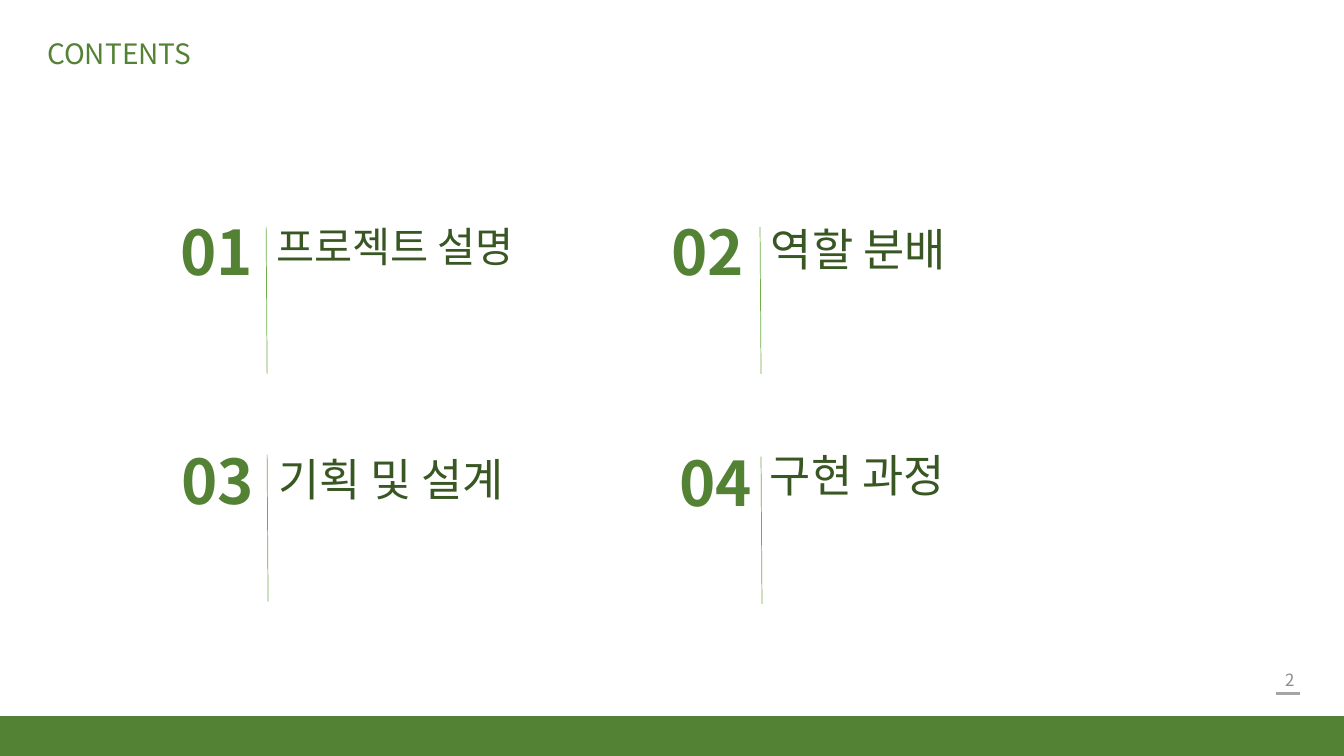
"""Build a contents slide with four numbered sections."""
from dataclasses import dataclass

from lxml import etree
from pptx import Presentation
from pptx.dml.color import RGBColor
from pptx.enum.shapes import MSO_CONNECTOR, MSO_SHAPE
from pptx.enum.text import MSO_ANCHOR, PP_ALIGN
from pptx.oxml.ns import qn
from pptx.util import Pt

STRAIGHT = MSO_CONNECTOR.STRAIGHT
RECT = MSO_SHAPE.RECTANGLE
TOP, MIDDLE = MSO_ANCHOR.TOP, MSO_ANCHOR.MIDDLE
LEFT, RIGHT = PP_ALIGN.LEFT, PP_ALIGN.RIGHT


@dataclass(frozen=True)
class Theme:
    font: str = "Noto Sans CJK KR"
    green: str = "548235"
    dark_green: str = "385723"
    light_green: str = "70AD47"
    page_grey: str = "8C8C8C"
    line_grey: str = "A5A5A5"
    page_size: float = 12
    heading_size: float = 20
    number_size: float = 44
    label_size: float = 32
    small_label_size: float = 29.6


theme = Theme()


def add_text(box, text, size, color, bold=False, anchor=MIDDLE, align=LEFT,
             spacing=0.9, before=0):
    tf = slide.shapes.add_textbox(*map(Pt, box)).text_frame
    tf.word_wrap = True
    tf.vertical_anchor = anchor
    p = tf.paragraphs[0]
    p.alignment = align
    p.line_spacing = spacing
    p.space_before = Pt(before)
    r = p.add_run()
    r.text = text
    r.font.name = theme.font
    r.font.size = Pt(size)
    r.font.bold = bold
    r.font.color.rgb = RGBColor.from_string(color)
    etree.SubElement(r.font._element, qn("a:ea"), typeface=theme.font)


def add_line(x1, y1, x2, y2, color, width):
    line = slide.shapes.add_connector(STRAIGHT, Pt(x1), Pt(y1), Pt(x2), Pt(y2))
    line.line.color.rgb = RGBColor.from_string(color)
    line.line.width = Pt(width)
    etree.SubElement(line._element.spPr, qn("a:effectLst"))


prs = Presentation()
prs.slide_width, prs.slide_height = Pt(960), Pt(540)
slide = prs.slides.add_slide(prs.slide_layouts[6])

footer = slide.shapes.add_shape(RECT, Pt(0), Pt(511.6), Pt(960), Pt(28.4))
footer.shadow.inherit = False
footer.fill.solid()
footer.fill.fore_color.rgb = RGBColor.from_string(theme.green)
footer.line.fill.background()

add_text((715.7, 470.9, 216, 28.8), "2", theme.page_size, theme.page_grey,
         align=RIGHT, spacing=1)
add_line(911.5, 495.4, 928.5, 495.4, theme.line_grey, 1.5)
add_text((26.6, 25.2, 277.2, 28.8), "CONTENTS", theme.heading_size, theme.green)

sections = [
    ("01", (121.7, 167.8), "프로젝트 설명", (190.1, 158.4, 201.6, 63.4),
     theme.small_label_size, TOP, 10, (190.1, 162)),
    ("02", (472.3, 168.2), "역할 분배", (543.6, 159.1, 249.8, 62.6),
     theme.label_size, TOP, 10, (542.9, 162)),
    ("03", (122.4, 331.9), "기획 및 설계", (191.5, 298.1, 400, 92.9),
     theme.label_size, MIDDLE, 0, (190.8, 324.7)),
    ("04", (478.1, 333.4), "구현 과정", (542.9, 295.2, 400, 92.9),
     theme.label_size, MIDDLE, 0, (543.6, 326.2)),
]
for number, spot, label, box, size, anchor, before, (x, y) in sections:
    add_text((*spot, 277.2, 28.8), number, theme.number_size, theme.green, bold=True)
    add_text(box, label, size, theme.dark_green, anchor=anchor, before=before)
    add_line(x, y, x + 0.7, y + 105.1, theme.light_green, 0.5)

prs.save("out.pptx")
